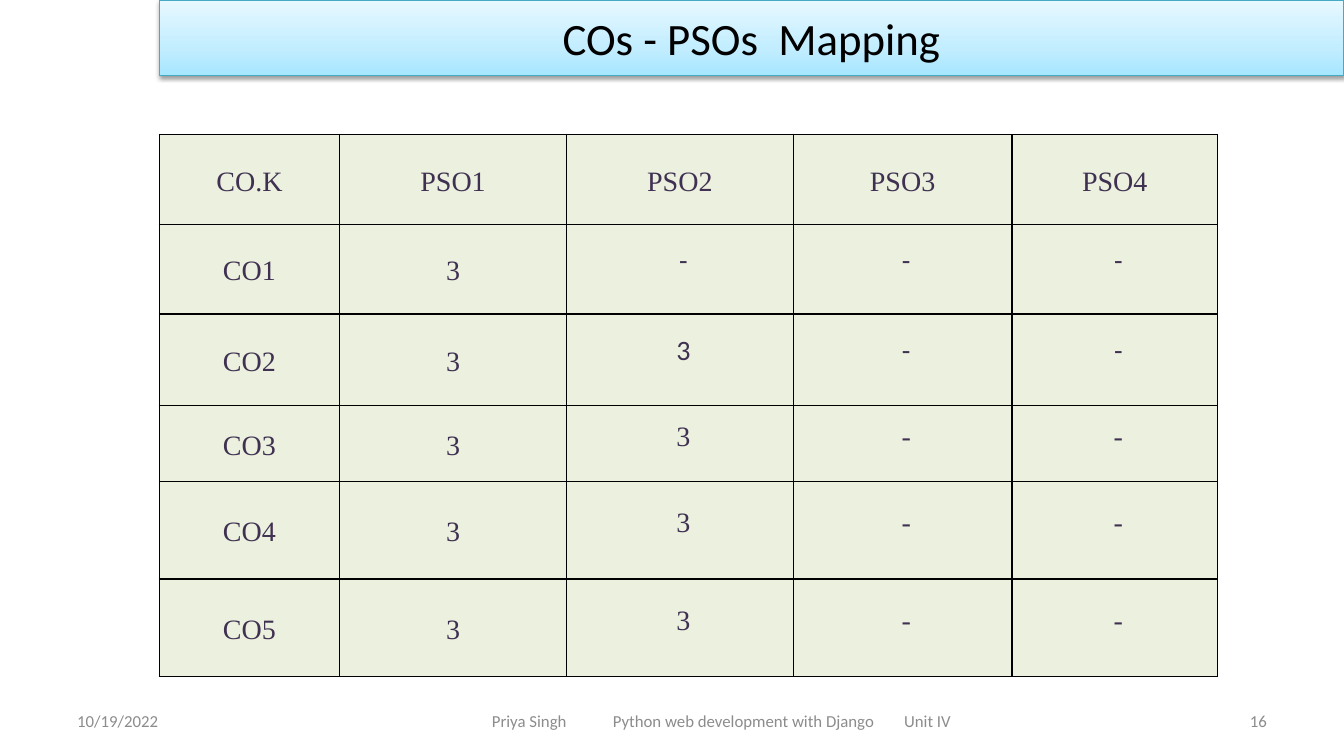
from copy import deepcopy

from lxml.etree import SubElement
from pptx import Presentation
from pptx.dml.color import RGBColor
from pptx.enum.text import MSO_ANCHOR as ANCHOR, MSO_AUTO_SIZE as AUTO, PP_ALIGN as ALIGN
from pptx.oxml.ns import qn
from pptx.util import Inches, Pt

W, H = Inches(13.333), Inches(7.5)
LEFT = 0.1185
COLS = [1.79, 2.25, 2.25, 2.17, 2.04]
ROWS = [0.89, 0.89, 0.91, 0.75, 0.97, 0.97]
MAPPING = [
    ["CO.K", "PSO1", "PSO2", "PSO3", "PSO4"],
    ["CO1", "3", "-", "-", "-"],
    ["CO2", "3", "3", "-", "-"],
    ["CO3", "3", "3", "-", "-"],
    ["CO4", "3", "3", "-", "-"],
    ["CO5", "3", "3", "-", "-"],
]
CALIBRI_ROWS = (1, 2)
FOOTER_TABS = [1.2, 4.09]


def rgb(value):
    return RGBColor.from_string(value)


def share(x, y, w, h):
    return round(W * x), round(H * y), round(W * w), round(H * h)


def style(p, size, color, align, name="Calibri"):
    p.alignment = align
    p.font.size = Pt(size)
    p.font.name = name
    p.font.color.rgb = rgb(color)


def add_shadow(sp):
    effects = SubElement(sp._element.spPr, qn("a:effectLst"))
    shadow = SubElement(effects, qn("a:outerShdw"), blurRad=str(Pt(3.1)),
                        dist=str(Pt(1.6)), dir="5400000", rotWithShape="0")
    color = SubElement(shadow, qn("a:srgbClr"), val="000000")
    SubElement(color, qn("a:alpha"), val="38000")


def fill_gradient(sp, stops, angle):
    sp.fill.gradient()
    sp.fill.gradient_angle = angle
    gs_list = sp._element.spPr.find(qn("a:gradFill")).find(qn("a:gsLst"))
    gs_list.insert(1, deepcopy(gs_list[0]))
    for stop, (position, color) in zip(sp.fill.gradient_stops, stops):
        stop.position = position
        stop.color.rgb = rgb(color)


def format_title(sp, text):
    sp.left, sp.top, sp.width, sp.height = share(LEFT, 0, 1 - LEFT, 0.1)
    fill_gradient(sp, [(0, "A7E6FF"), (0.35, "C1EDFF"), (1, "E7F8FF")], 90)
    sp.line.color.rgb = rgb("46AAC5")
    sp.line.width = Pt(0.75)
    add_shadow(sp)
    tf = sp.text_frame
    tf.text = text
    tf.auto_size = AUTO.NONE
    tf.vertical_anchor = ANCHOR.MIDDLE
    style(tf.paragraphs[0], 32, "000000", ALIGN.CENTER)


def add_footer(slide, x, w, text, align, inset=0.1, tabs=()):
    sp = slide.shapes.add_textbox(*share(x, 0.927, w, 0.053))
    tf = sp.text_frame
    tf.word_wrap = True
    tf.vertical_anchor = ANCHOR.MIDDLE
    tf.margin_left = Inches(inset)
    p = tf.paragraphs[0]
    p.text = text
    if tabs:
        tab_list = SubElement(p._p.get_or_add_pPr(), qn("a:tabLst"))
        for tab in tabs:
            SubElement(tab_list, qn("a:tab"), pos=str(Inches(tab)), algn="l")
    style(p, 12, "8C8C8C", align)


def add_borders(cell):
    tc_pr = cell._tc.get_or_add_tcPr()
    for side in ("a:lnL", "a:lnR", "a:lnT", "a:lnB"):
        ln = SubElement(tc_pr, qn(side), w=str(Pt(1)))
        fill = SubElement(ln, qn("a:solidFill"))
        SubElement(fill, qn("a:srgbClr"), val="000000")


def format_cell(cell, text, mapped, font):
    add_borders(cell)
    cell.fill.solid()
    cell.fill.fore_color.rgb = rgb("EBF1DE")
    cell.margin_left = cell.margin_right = Inches(0.07)
    cell.margin_top = cell.margin_bottom = 0
    cell.vertical_anchor = ANCHOR.MIDDLE
    p = cell.text_frame.paragraphs[0]
    p.text = text
    p.line_spacing = Pt(12.3) if mapped else 1.15
    if mapped:
        p._p.get_or_add_pPr().set("marL", str(Inches(0.07)))
    style(p, 20, "403152", ALIGN.CENTER, font)


def add_mapping(slide):
    x, y, _, _ = share(LEFT, 0.178, 0, 0)
    frame = slide.shapes.add_table(len(ROWS), len(COLS), x, y,
                                   Inches(sum(COLS)), Inches(sum(ROWS)))
    table = frame.table
    table.first_row = table.horz_banding = False
    for column, width in zip(table.columns, COLS):
        column.width = Inches(width)
    for r, (row, height) in enumerate(zip(table.rows, ROWS)):
        row.height = Inches(height)
        for c, cell in enumerate(row.cells):
            mapped = r > 0 and c > 1
            font = "Calibri" if mapped and r in CALIBRI_ROWS else "Times New Roman"
            format_cell(cell, MAPPING[r][c], mapped, font)


def main():
    prs = Presentation()
    prs.slide_width, prs.slide_height = W, H
    slide = prs.slides.add_slide(prs.slide_layouts[5])
    format_title(slide.shapes.title, "COs - PSOs  Mapping")
    add_footer(slide, 0.05, 0.233, "10/19/2022", ALIGN.LEFT)
    add_footer(slide, 0.3315, 0.4125,
               "Priya Singh\tPython web development with Django\tUnit IV",
               ALIGN.LEFT, 0.46, FOOTER_TABS)
    add_footer(slide, 0.717, 0.233, "16", ALIGN.RIGHT)
    add_mapping(slide)
    prs.save("out.pptx")


if __name__ == "__main__":
    main()
